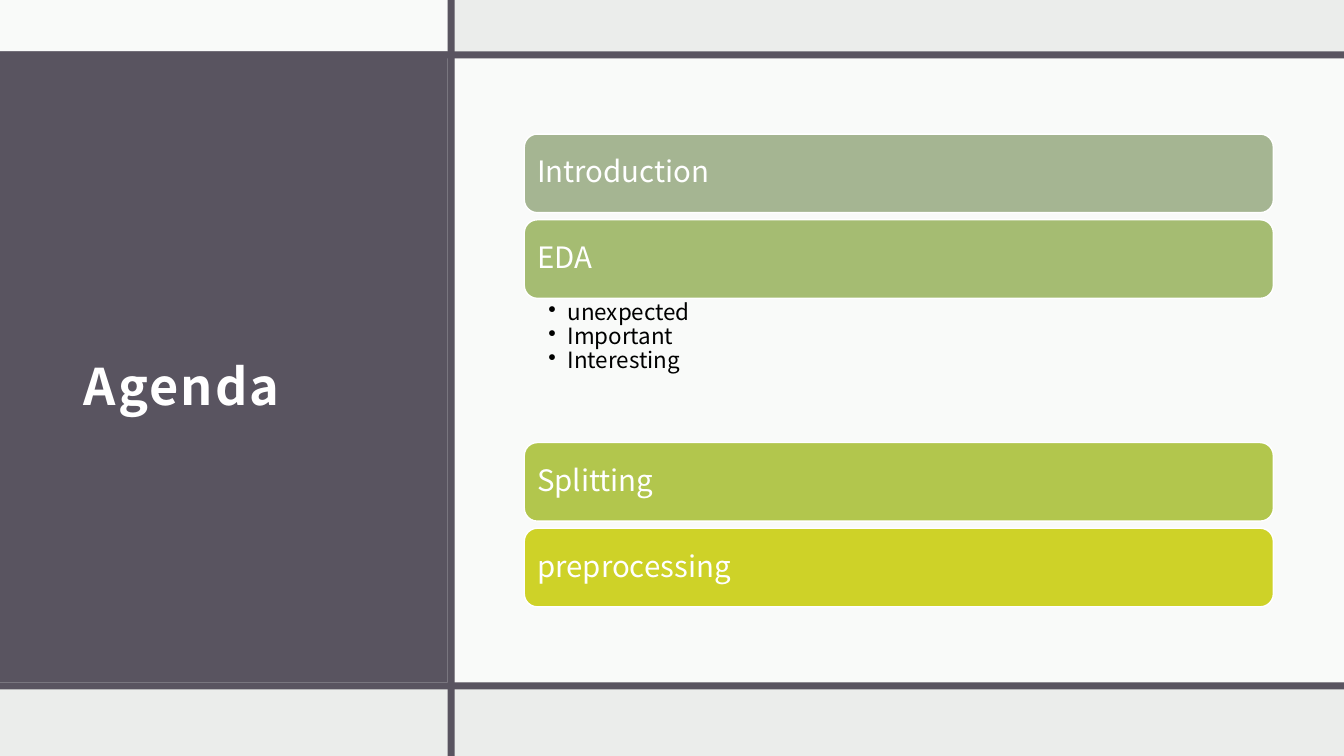
from lxml.etree import SubElement
from pptx import Presentation
from pptx.dml.color import RGBColor
from pptx.enum.shapes import MSO_SHAPE
from pptx.enum.text import MSO_ANCHOR, MSO_AUTO_SIZE, PP_ALIGN
from pptx.oxml.ns import qn
from pptx.util import Inches, Pt

WIDTH, HEIGHT = 13.33, 7.5
FONT = "Noto Sans CJK JP"
COLORS = {
    "background": "EBEDEB", "frame": "595460", "white": "FFFFFF", "black": "000000",
    "sage": "A5B592", "moss": "A5BC72", "lime": "B2C64D", "yellow": "CED228",
}

# Frame grid: thin rules split the slide into two columns and three rows
RULE = 0.07
SPLIT, TOP, BOTTOM = 4.44, 0.51, 6.77

# Agenda: label, colour, details
AGENDA = [
    ("Introduction", "sage", []),
    ("EDA", "moss", ["unexpected", "Important", "Interesting"]),
    ("Splitting", "lime", []),
    ("preprocessing", "yellow", []),
]
BAR_HEIGHT, BAR_GAP, DETAIL_HEIGHT = 0.78, 0.07, 1.43


def color(name):
    return RGBColor.from_string(COLORS[name])


def add_block(page, box, fill, shape_type=MSO_SHAPE.RECTANGLE, opacity=100):
    block = page.shapes.add_shape(shape_type, *map(Inches, box))
    block.shadow.inherit = False
    block.fill.solid()
    block.fill.fore_color.rgb = color(fill)
    block.line.fill.background()
    if opacity < 100:
        tint = block.fill._xPr.find(qn("a:solidFill"))[0]
        SubElement(tint, qn("a:alpha"), val=str(opacity * 1000))
    return block


def set_frame(frame, insets, anchor):
    frame.word_wrap = True
    frame.auto_size = MSO_AUTO_SIZE.NONE
    frame.vertical_anchor = anchor
    frame.margin_left, frame.margin_top, frame.margin_right, frame.margin_bottom = map(
        Inches, insets)


def add_span(para, text, size, fill, spacing):
    para.alignment = PP_ALIGN.LEFT
    para.line_spacing = spacing
    span = para.add_run()
    span.text = text
    span.font.name = FONT
    span.font.size = Pt(size)
    span.font.color.rgb = color(fill)
    return span


def add_frame(page):
    right = SPLIT + RULE
    # Panels
    add_block(page, (0, TOP, SPLIT, BOTTOM - TOP), "frame")
    add_block(page, (0, 0, SPLIT, TOP), "white", opacity=75)
    add_block(page, (right, TOP + RULE, WIDTH - right, BOTTOM - TOP - RULE),
              "white", opacity=75)
    # Rules
    for top in (TOP, BOTTOM):
        add_block(page, (0, top, WIDTH, RULE), "frame")
    add_block(page, (SPLIT, 0, RULE, HEIGHT), "frame")


def add_title(page, box, text):
    title = page.shapes.title
    title.left, title.top, title.width, title.height = map(Inches, box)
    set_frame(title.text_frame, (0.12, 0.12, 0.12, 0.1), MSO_ANCHOR.MIDDLE)
    para = title.text_frame.paragraphs[0]
    para.space_after = Pt(6)
    span = add_span(para, text, 36, "white", 1.5)
    span.font.bold = True
    span.font._element.set("spc", "150")
    # Bring the title in front of the panels
    page.shapes._spTree.append(title._element)


def add_bar(page, box, label, fill):
    bar = add_block(page, box, fill, MSO_SHAPE.ROUNDED_RECTANGLE)
    bar.line.color.rgb = color("white")
    bar.line.width = Pt(1)
    set_frame(bar.text_frame, (0.09,) * 4, MSO_ANCHOR.MIDDLE)
    add_span(bar.text_frame.paragraphs[0], label, 21, "white", 0.9)


def add_details(page, box, details):
    frame = page.shapes.add_textbox(*map(Inches, box)).text_frame
    set_frame(frame, (0.24, 0.03, 0.16, 0.03), MSO_ANCHOR.TOP)
    for index, detail in enumerate(details):
        para = frame.add_paragraph() if index else frame.paragraphs[0]
        properties = para._p.get_or_add_pPr()
        properties.set("marL", str(Inches(0.19)))
        properties.set("indent", str(Inches(-0.19)))
        SubElement(properties, qn("a:buChar"), char="•")
        add_span(para, detail, 16, "black", 0.9)


def add_agenda(page, box):
    left, top, width = box
    for label, fill, details in AGENDA:
        add_bar(page, (left, top, width, BAR_HEIGHT), label, fill)
        top += BAR_HEIGHT
        if details:
            add_details(page, (left, top, width, DETAIL_HEIGHT), details)
            top += DETAIL_HEIGHT
        else:
            top += BAR_GAP


def main():
    deck = Presentation()
    deck.slide_width, deck.slide_height = Inches(WIDTH), Inches(HEIGHT)
    page = deck.slides.add_slide(deck.slide_layouts[5])
    page.background.fill.solid()
    page.background.fill.fore_color.rgb = color("background")
    add_frame(page)
    add_title(page, (0.71, 1.31, 3.41, 4.71), "Agenda")
    add_agenda(page, (5.2, 1.33, 7.43))
    deck.save("out.pptx")


if __name__ == "__main__":
    main()
